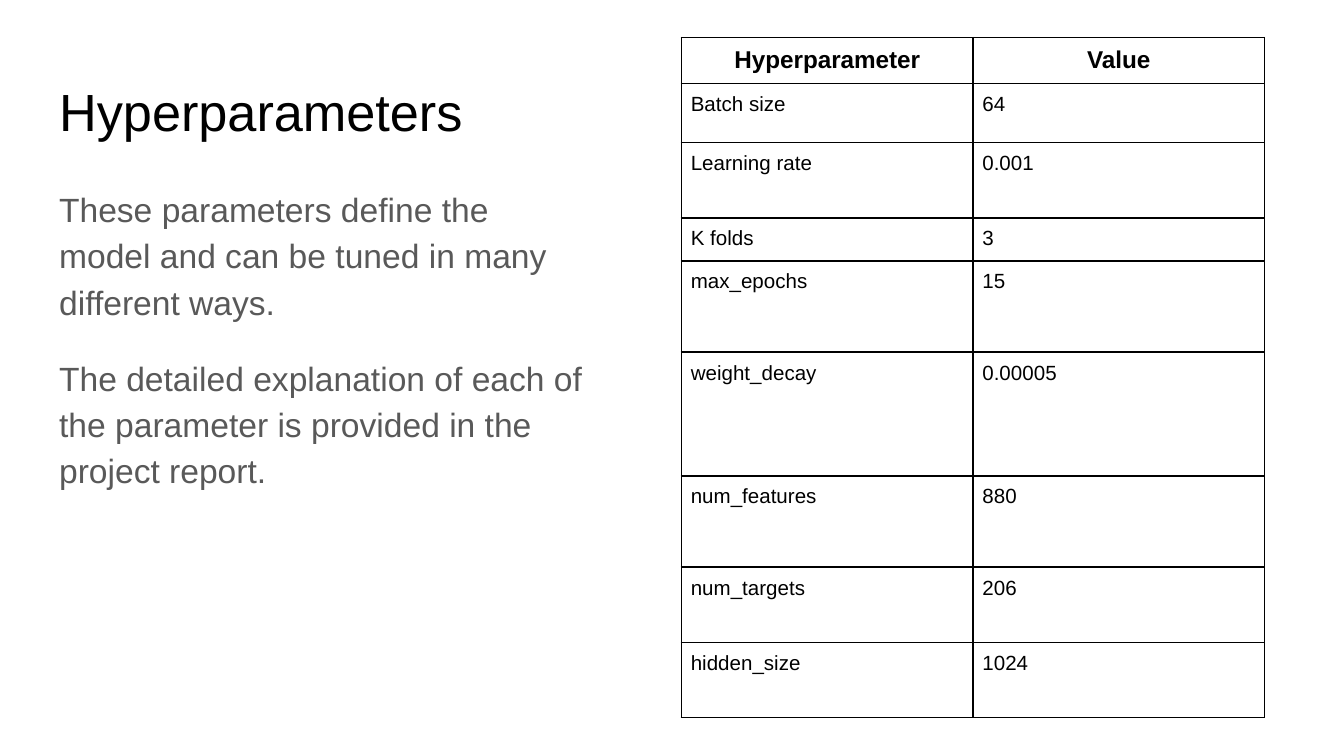
from dataclasses import dataclass
from typing import NamedTuple

from lxml.etree import SubElement
from pptx import Presentation
from pptx.dml.color import RGBColor
from pptx.enum.text import MSO_ANCHOR, MSO_AUTO_SIZE, PP_ALIGN
from pptx.oxml.ns import qn
from pptx.util import Inches, Pt


@dataclass(frozen=True)
class Theme:
    font: str = "Arial"
    ink: RGBColor = RGBColor(0x00, 0x00, 0x00)
    muted: RGBColor = RGBColor(0x59, 0x59, 0x59)
    title_size: int = 28
    body_size: int = 18
    header_size: int = 13
    cell_size: int = 11
    border_width: int = 1


class Box(NamedTuple):
    left: float
    top: float
    width: float
    height: float


class TableRow(NamedTuple):
    name: str
    value: str
    height: float


THEME = Theme()
SLIDE_WIDTH = Inches(10)
SLIDE_HEIGHT = SLIDE_WIDTH * 9 // 16
TITLE_BOX = Box(0.34, 0.49, 9.32, 0.63)
BODY_BOX = Box(0.34, 1.26, 4.13, 3.74)
TABLE_LEFT, TABLE_TOP, COLUMN_WIDTH = 5.07, 0.28, 2.17
BODY_TEXTS = [
    "These parameters define the model and can be tuned in many different ways.",
    "The detailed explanation of each of the parameter is provided in the project report.",
]
ROWS = [
    TableRow("Hyperparameter", "Value", 0.2),
    TableRow("Batch size", "64", 0.44),
    TableRow("Learning rate", "0.001", 0.56),
    TableRow("K folds", "3", 0.32),
    TableRow("max_epochs", "15", 0.68),
    TableRow("weight_decay", "0.00005", 0.92),
    TableRow("num_features", "880", 0.68),
    TableRow("num_targets", "206", 0.56),
    TableRow("hidden_size", "1024", 0.56),
]


def style_paragraph(paragraph, size: int, color: RGBColor, bold: bool = False) -> None:
    font = paragraph.font
    font.name, font.size, font.bold = THEME.font, Pt(size), bold
    font.color.rgb = color


def set_margins(target, margin: float) -> None:
    target.margin_left = target.margin_right = Inches(margin)
    target.margin_top = target.margin_bottom = Inches(margin)


def fill_placeholder(shape, box: Box, texts: list[str], size: int, color: RGBColor) -> None:
    shape.left, shape.top, shape.width, shape.height = map(Inches, box)
    frame = shape.text_frame
    frame.text = "\n".join(texts)
    frame.word_wrap = True
    frame.auto_size = MSO_AUTO_SIZE.NONE
    frame.vertical_anchor = MSO_ANCHOR.TOP
    set_margins(frame, 0.1)
    for paragraph in frame.paragraphs:
        paragraph.alignment = PP_ALIGN.LEFT
        paragraph.space_before = Pt(0)
        style_paragraph(paragraph, size, color)


def format_body(paragraphs) -> None:
    for index, paragraph in enumerate(paragraphs):
        paragraph.line_spacing = 1.15
        if index:
            paragraph.space_before = paragraph.space_after = Pt(16)
        # Plain text: no bullet and no hanging indent
        properties = paragraph._p.get_or_add_pPr()
        properties.set("marL", "0")
        properties.set("indent", "0")
        bullet = SubElement(properties, qn("a:buNone"))
        properties.find(qn("a:defRPr")).addprevious(bullet)


def add_borders(cell) -> None:
    properties = cell._tc.get_or_add_tcPr()
    for index, side in enumerate(("lnL", "lnR", "lnT", "lnB")):
        line = SubElement(properties, qn(f"a:{side}"), w=str(Pt(THEME.border_width)))
        fill = SubElement(line, qn("a:solidFill"))
        SubElement(fill, qn("a:srgbClr"), val=str(THEME.ink))
        properties.insert(index, line)


def format_cell(cell, text: str, is_header: bool) -> None:
    cell.text = text
    cell.fill.background()
    set_margins(cell, 0.07)
    paragraph = cell.text_frame.paragraphs[0]
    paragraph.alignment = PP_ALIGN.CENTER if is_header else PP_ALIGN.LEFT
    size = THEME.header_size if is_header else THEME.cell_size
    style_paragraph(paragraph, size, THEME.ink, bold=is_header)
    add_borders(cell)


def add_parameter_table(slide, rows: list[TableRow]) -> None:
    height = sum(row.height for row in rows)
    table = slide.shapes.add_table(
        len(rows), 2, Inches(TABLE_LEFT), Inches(TABLE_TOP),
        Inches(2 * COLUMN_WIDTH), Inches(height),
    ).table
    table.first_row = table.horz_banding = False
    for column in table.columns:
        column.width = Inches(COLUMN_WIDTH)
    for index, row in enumerate(rows):
        table.rows[index].height = Inches(row.height)
        for cell, text in zip(table.rows[index].cells, (row.name, row.value)):
            format_cell(cell, text, is_header=index == 0)


def main() -> None:
    presentation = Presentation()
    presentation.slide_width, presentation.slide_height = SLIDE_WIDTH, SLIDE_HEIGHT
    slide = presentation.slides.add_slide(presentation.slide_layouts[1])

    # Title and explanation
    fill_placeholder(slide.shapes.title, TITLE_BOX, ["Hyperparameters"],
                     THEME.title_size, THEME.ink)
    body = slide.placeholders[1]
    fill_placeholder(body, BODY_BOX, BODY_TEXTS, THEME.body_size, THEME.muted)
    format_body(body.text_frame.paragraphs)

    # Parameter values
    add_parameter_table(slide, ROWS)
    presentation.save("out.pptx")


if __name__ == "__main__":
    main()
